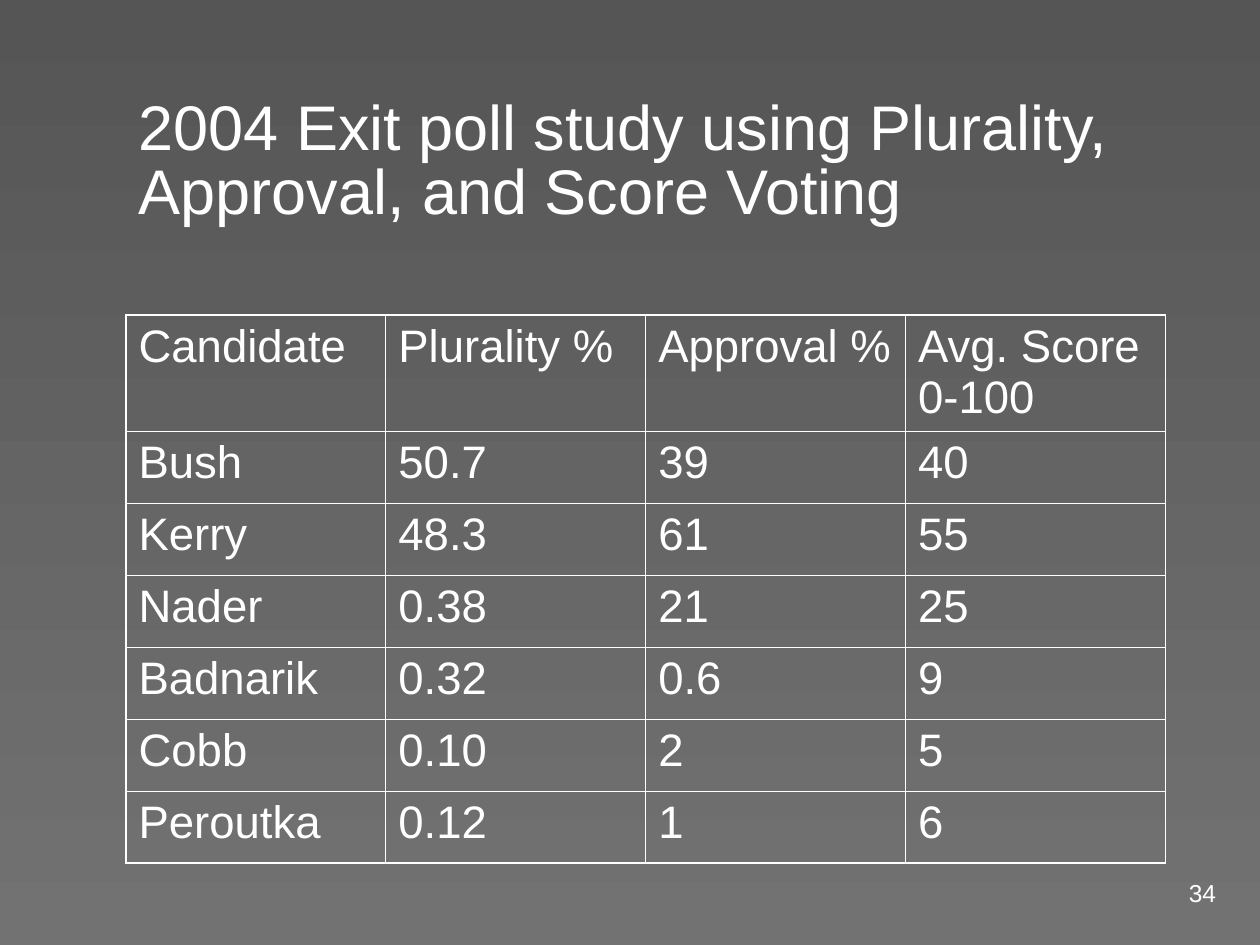
import dataclasses

import lxml.etree
import pptx
import pptx.dml.color
import pptx.enum.text
import pptx.oxml.ns
import pptx.util

Inches = pptx.util.Inches
Align = pptx.enum.text.PP_ALIGN
Anchor = pptx.enum.text.MSO_ANCHOR


@dataclasses.dataclass(frozen=True)
class Theme:
    font: str = "Arial"
    ink: str = "FFFFFF"
    background_top: str = "555555"
    background_bottom: str = "727272"
    title_size: float = 36
    table_size: float = 26
    number_size: float = 14
    outer_border: float = 1.08
    inner_border: float = 0.45


THEME = Theme()

RESULTS = [
    ("Candidate", "Plurality %", "Approval %", "Avg. Score 0-100"),
    ("Bush", "50.7", "39", "40"),
    ("Kerry", "48.3", "61", "55"),
    ("Nader", "0.38", "21", "25"),
    ("Badnarik", "0.32", "0.6", "9"),
    ("Cobb", "0.10", "2", "5"),
    ("Peroutka", "0.12", "1", "6"),
]


def color(value):
    return pptx.dml.color.RGBColor.from_string(value)


def write(frame, text, *, size, align=Align.LEFT, anchor=Anchor.TOP, spacing=None):
    frame.word_wrap = True
    frame.vertical_anchor = anchor
    para = frame.paragraphs[0]
    para.alignment = align
    para.space_before = pptx.util.Pt(0)
    para.line_spacing = spacing
    span = para.add_run()
    span.text = text
    span.font.name = THEME.font
    span.font.size = pptx.util.Pt(size)
    span.font.color.rgb = color(THEME.ink)


def paint_background(page):
    fill = page.background.fill
    fill.gradient()
    fill.gradient_angle = 270
    shades = (THEME.background_top, THEME.background_bottom)
    for stop, position, shade in zip(fill.gradient_stops, (0, 1), shades):
        stop.position = position
        stop.color.rgb = color(shade)


def add_title(page, text, left, top, width, height):
    box = page.shapes.title
    box.left, box.top, box.width, box.height = left, top, width, height
    frame = box.text_frame
    frame.auto_size = pptx.enum.text.MSO_AUTO_SIZE.NONE
    write(frame, text, size=THEME.title_size, anchor=Anchor.MIDDLE, spacing=0.85)


def set_borders(cell, widths):
    """Draw the cell's edges; widths maps lnL, lnR, lnT and lnB to points."""
    properties = cell._tc.get_or_add_tcPr()
    qn = pptx.oxml.ns.qn
    for index, (edge, width) in enumerate(widths.items()):
        line = lxml.etree.Element(qn(f"a:{edge}"), w=str(pptx.util.Pt(width)))
        fill = lxml.etree.SubElement(line, qn("a:solidFill"))
        lxml.etree.SubElement(fill, qn("a:srgbClr"), val=THEME.ink)
        properties.insert(index, line)


def add_results_table(page, rows, left, top, width, height, header_height):
    row_count, column_count = len(rows), len(rows[0])
    table = page.shapes.add_table(
        row_count, column_count, left, top, width, height
    ).table
    table.first_row = table.horz_banding = False
    for column in table.columns:
        column.width = int(width / column_count)
    for row in table.rows:
        row.height = int((height - header_height) / (row_count - 1))
    table.rows[0].height = header_height

    def edge_width(is_outer):
        return THEME.outer_border if is_outer else THEME.inner_border

    for r, values in enumerate(rows):
        for c, value in enumerate(values):
            cell = table.cell(r, c)
            cell.fill.background()
            write(cell.text_frame, value, size=THEME.table_size)
            set_borders(cell, {
                "lnL": edge_width(c == 0),
                "lnR": edge_width(c == column_count - 1),
                "lnT": edge_width(r == 0),
                "lnB": edge_width(r == row_count - 1),
            })


def add_page_number(page, number, left, top, width, height):
    box = page.shapes.add_textbox(left, top, width, height)
    write(box.text_frame, number, size=THEME.number_size,
          align=Align.RIGHT, anchor=Anchor.BOTTOM)


def main():
    deck = pptx.Presentation()
    deck.slide_width, deck.slide_height = Inches(10), Inches(7.5)
    page = deck.slides.add_slide(deck.slide_layouts[5])
    paint_background(page)
    add_title(page, "2004 Exit poll study using Plurality, Approval, and Score Voting",
              Inches(1), Inches(0.67), Inches(8.25), Inches(1.25))
    add_results_table(page, RESULTS, Inches(1), Inches(2.5), Inches(8.25),
                      Inches(4.35), header_height=Inches(0.92))
    add_page_number(page, "34", Inches(7.25), Inches(7), Inches(2.5), Inches(0.25))
    deck.save("out.pptx")


if __name__ == "__main__":
    main()
